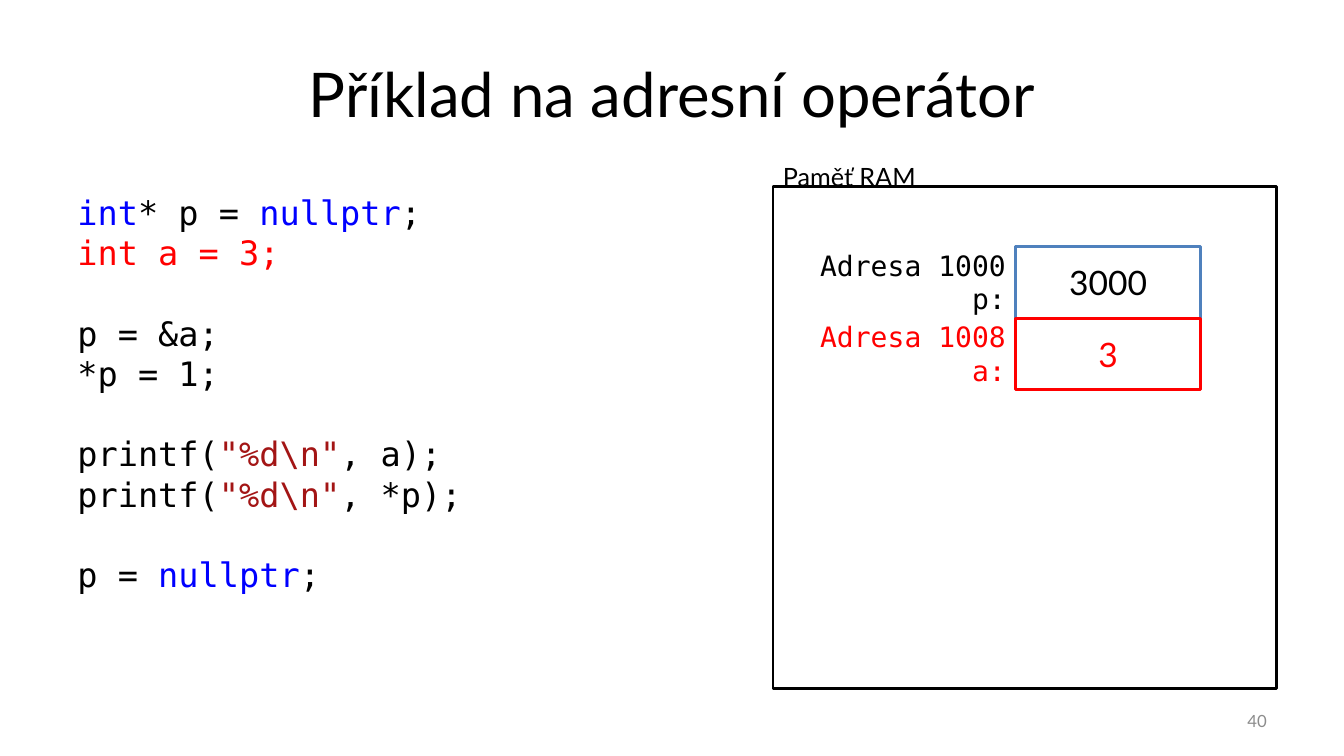
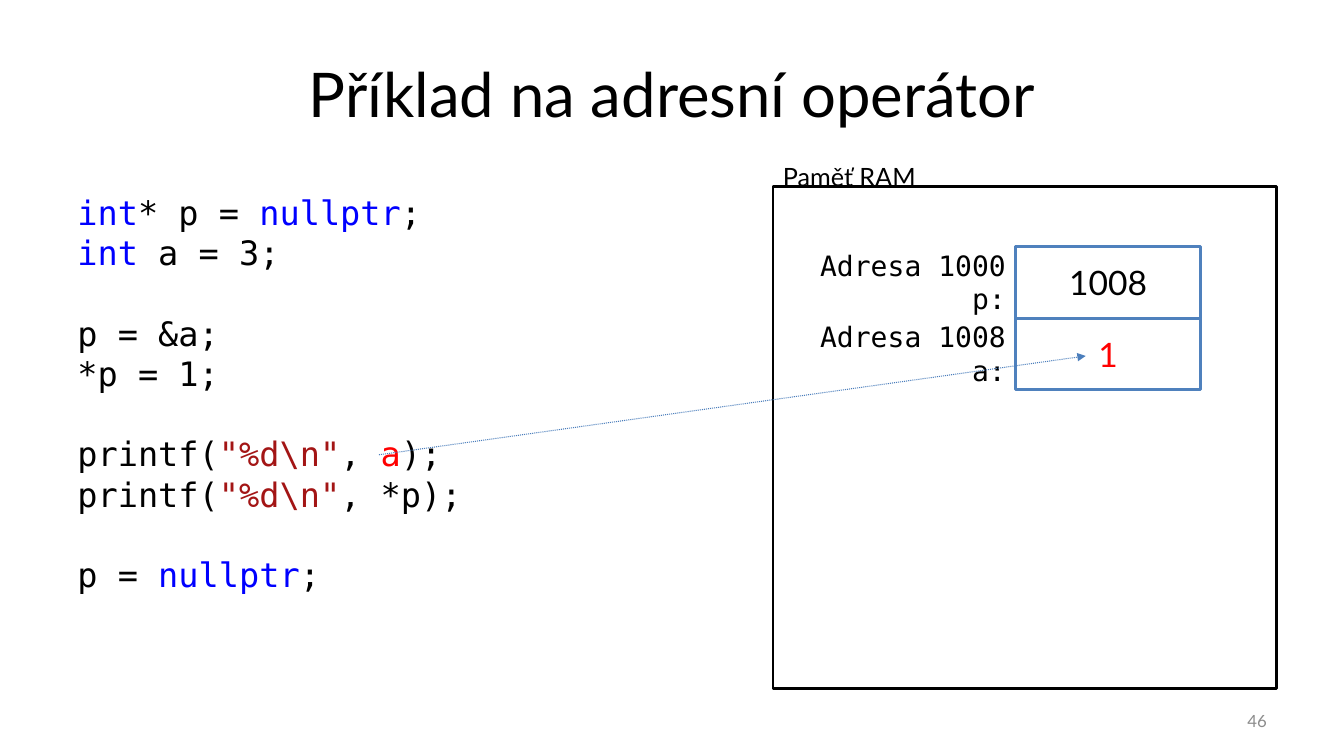
from lxml import etree
from pptx import Presentation
from pptx.dml.color import RGBColor
from pptx.enum.dml import MSO_LINE as Dash
from pptx.enum.shapes import MSO_CONNECTOR as Connector, MSO_SHAPE as Shape
from pptx.enum.text import MSO_ANCHOR as Anchor, MSO_AUTO_SIZE as AutoSize, PP_ALIGN as Align
from pptx.oxml.ns import qn
from pptx.util import Cm, Pt

BLACK, WHITE, GRAY, RED = "000000", "FFFFFF", "8C8C8C", "FF0000"
KEYWORD, STRING = "0000FF", "A31515"
CELL_LINE, ARROW = "4F81BD", "4B7EBC"
SANS, MONO = "Lato", "DejaVu Sans Mono"
CODE_SIZE, LABEL_SIZE, LEADING = 24, 20, 1.2


def rgb(value):
    return RGBColor.from_string(value)


def write(frame, lines, size=24, font=SANS, color=BLACK, align=Align.LEFT,
          anchor=Anchor.TOP, leading=None, gaps=()):
    """Fill a frame; a line is a string or a list of (text, colour) runs.

    The lines whose indexes are in gaps have one line of space before them.
    """
    frame.word_wrap = True
    frame.auto_size = AutoSize.NONE
    frame.vertical_anchor = anchor
    for index, line in enumerate(lines):
        paragraph = frame.paragraphs[0] if index == 0 else frame.add_paragraph()
        paragraph.alignment = align
        if leading:
            paragraph.line_spacing = Pt(size * leading)
        if index in gaps:
            paragraph.space_before = Pt(size * (leading or 1))
        for text, run_color in [(line, color)] if isinstance(line, str) else line:
            run = paragraph.add_run()
            run.text = text
            run.font.name = font
            run.font.size = Pt(size)
            run.font.color.rgb = rgb(run_color)


class Deck:
    def __init__(self):
        self.prs = Presentation()
        self.prs.slide_width, self.prs.slide_height = Cm(33.87), Cm(19.05)
        self.slide = None

    def new_slide(self, title, number):
        self.slide = self.prs.slides.add_slide(self.prs.slide_layouts[5])
        heading = self.slide.shapes.title
        heading.left, heading.top = Cm(1.7), Cm(0.76)
        heading.width, heading.height = Cm(30.48), Cm(3.18)
        write(heading.text_frame, [title], size=44, align=Align.CENTER, anchor=Anchor.MIDDLE)
        self.text(24.28, 17.65, 7.9, 1.02, [number], size=12, color=GRAY,
                  align=Align.RIGHT, anchor=Anchor.MIDDLE)

    def text(self, left, top, width, height, lines, **style):
        box = self.slide.shapes.add_textbox(Cm(left), Cm(top), Cm(width), Cm(height))
        write(box.text_frame, lines, **style)

    def box(self, left, top, width, height, outline, value=None, color=BLACK):
        shape = self.slide.shapes.add_shape(
            Shape.RECTANGLE, Cm(left), Cm(top), Cm(width), Cm(height))
        shape.shadow.inherit = False
        shape.fill.solid()
        shape.fill.fore_color.rgb = rgb(WHITE)
        shape.line.color.rgb = rgb(outline)
        shape.line.width = Pt(2)
        if value:
            write(shape.text_frame, [value], color=color,
                  align=Align.CENTER, anchor=Anchor.MIDDLE)

    def arrow(self, x1, y1, x2, y2):
        link = self.slide.shapes.add_connector(
            Connector.STRAIGHT, Cm(x1), Cm(y1), Cm(x2), Cm(y2))
        link.line.color.rgb = rgb(ARROW)
        link.line.width = Pt(0.75)
        link.line.dash_style = Dash.ROUND_DOT
        properties = link._element.spPr
        etree.SubElement(properties.find(qn("a:ln")), qn("a:tailEnd"), type="triangle")
        etree.SubElement(properties, qn("a:effectLst"))

    def code(self, lines, gaps):
        self.text(1.7, 4.7, 11.48, 10.52, lines, size=CODE_SIZE, font=MONO,
                  leading=LEADING, gaps=gaps)

    def memory(self, cells):
        """Draw the RAM frame with one row per (label, label colour, outline, value, colour)."""
        self.box(19.48, 4.7, 12.7, 12.65, BLACK)
        self.text(19.48, 3.94, 4.72, 1.02, ["Paměť RAM"], size=18)
        cell_height = 1.8
        for row, (label, label_color, outline, value, color) in enumerate(cells):
            top = 6.22 + row * cell_height
            self.box(25.6, top, 4.65, cell_height, outline, value, color)
            self.text(20.32, top - 0.1, 5.28, 1.96, label, size=LABEL_SIZE, font=MONO,
                      color=label_color, align=Align.RIGHT, anchor=Anchor.MIDDLE,
                      leading=LEADING)


# Program shown on both slides
def program(declaration, printed):
    """Return the code lines, given the line that declares a and the runs that print it."""
    call = [("printf(", BLACK), ('"%d\\n"', STRING)]
    return [
        [("int", KEYWORD), ("* p = ", BLACK), ("nullptr", KEYWORD), (";", BLACK)],
        declaration,
        "p = &a;",
        "*p = 1;",
        call + printed,
        call + [(", *p);", BLACK)],
        [("p = ", BLACK), ("nullptr", KEYWORD), (";", BLACK)],
    ]


TITLE = "Příklad na adresní operátor"
BLOCK_STARTS = (2, 4, 6)
POINTER, VARIABLE = ["Adresa 1000", "p:"], ["Adresa 1008", "a:"]


def main():
    deck = Deck()

    # Declaring the variable
    deck.new_slide(TITLE, "40")
    deck.memory([(POINTER, BLACK, CELL_LINE, "3000", BLACK),
                 (VARIABLE, RED, RED, "3", RED)])
    deck.code(program([("int a = 3;", RED)], [(", a);", BLACK)]), BLOCK_STARTS)

    # Printing the variable
    deck.new_slide(TITLE, "46")
    deck.memory([(POINTER, BLACK, CELL_LINE, "1008", BLACK),
                 (VARIABLE, BLACK, CELL_LINE, "1", RED)])
    deck.code(program([("int", KEYWORD), (" a = 3;", BLACK)],
                      [(", ", BLACK), ("a", RED), (");", BLACK)]), BLOCK_STARTS)
    deck.arrow(9.55, 11.46, 27.36, 8.97)

    deck.prs.save("out.pptx")


if __name__ == "__main__":
    main()
